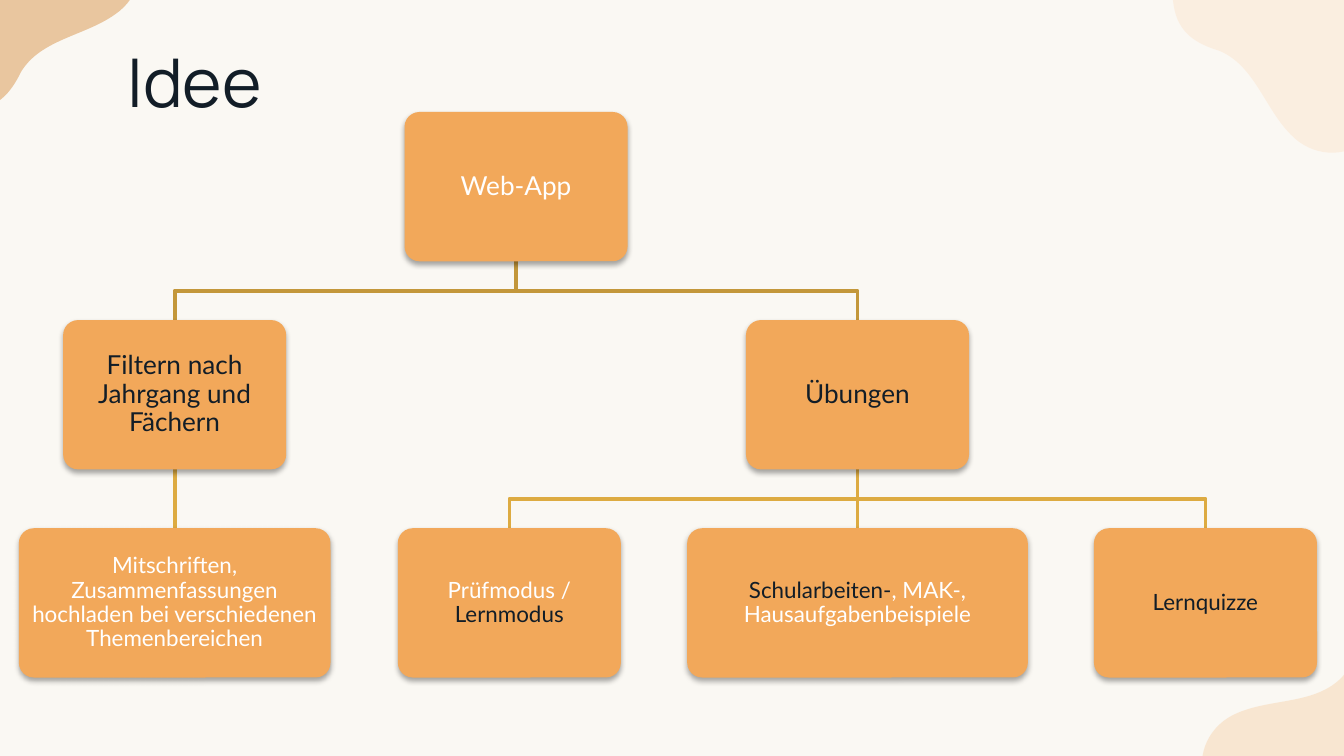
"""Build a slide with a three-level tree of ideas for a learning web app."""
import lxml.etree
import pptx
import pptx.dml.color
import pptx.enum.shapes
import pptx.enum.text
import pptx.oxml.ns
import pptx.util

Pt = pptx.util.Pt
qn = pptx.oxml.ns.qn

COLORS = {
    "background": "FAF8F3", "dark": "121D27", "light": "FFFFFF", "box": "F2A85A",
    "upper_line": "C3973A", "lower_line": "DDAB41", "shadow": "000000",
    "blob_brown": "CD7210", "blob_cream": "FADEC0", "blob_peach": "F7C997",
}
BOX_HEIGHT = 80
ROW_TOPS = [60 + 111.5 * row for row in range(3)]
ROW_FONT_SIZES = [14, 14, 12]
ROW_MARGINS = [4.4, 4.4, 3.8]

BOXES = {
    "app": (0, 276.5, 119.5, [("Web-App", "light")]),
    "filter": (1, 93.6, 119.5, [("Filtern nach Jahrgang und Fächern", "dark")]),
    "exercises": (1, 459.4, 119.5, [("Übungen", "dark")]),
    "notes": (2, 93.6, 167, [("Mitschriften, Zusammenfassungen hochladen bei "
                              "verschiedenen Themenbereichen", "light")]),
    "modes": (2, 272.9, 119.5, [("Prüfmodus / ", "light"), ("Lernmodus", "dark")]),
    "examples": (2, 459.4, 182.5, [("Schularbeiten-", "dark"),
                                   (", MAK-, Hausaufgabenbeispiele", "light")]),
    "quizzes": (2, 645.8, 119.5, [("Lernquizze", "dark")]),
}
LINKS = [
    ("app", "filter"), ("app", "exercises"), ("filter", "notes"),
    ("exercises", "modes"), ("exercises", "examples"), ("exercises", "quizzes"),
]
BLOB_UNIT = 0.72
BLOB_POINTS = [
    (-73, 9), (-65, 6), (-58, 4), (-49, 0), (-24, -10), (-27, -37), (-11, -55),
    (3, -70), (27, -71), (46, -64), (67, -56), (84, -40), (87, -20), (93, 0),
    (81, 22), (59, 29), (33, 38), (1, 31), (-20, 50), (-32, 63), (-45, 72),
    (-65, 66), (-84, 61), (-95, 41), (-87, 24), (-83, 17), (-79, 12), (-73, 9),
]
BLOBS = [
    (15.1, 0, 343.5, "blob_brown"),
    (691.9, 23.8, 64.4, "blob_cream"),
    (708.5, 398.9, 176, "blob_peach"),
]


def color(name):
    return pptx.dml.color.RGBColor.from_string(COLORS[name])


def fill_solid(shape, name):
    shape.fill.solid()
    shape.fill.fore_color.rgb = color(name)


def add_alpha(color_element, percent):
    alpha = lxml.etree.SubElement(color_element, qn("a:alpha"))
    alpha.set("val", str(percent * 1000))


def format_run(run, font_name, size, color_name):
    run.font.name = font_name
    run.font.size = Pt(size)
    run.font.color.rgb = color(color_name)


def set_margins(text_frame, margin):
    for side in ("left", "right", "top", "bottom"):
        setattr(text_frame, f"margin_{side}", Pt(margin))


def add_soft_shadow(shape):
    shape.shadow.inherit = False
    effects = shape.element.spPr.find(qn("a:effectLst"))
    shadow = lxml.etree.SubElement(effects, qn("a:outerShdw"))
    settings = {"blurRad": Pt(3.1), "dist": Pt(1.8), "dir": 90 * 60000, "rotWithShape": 0}
    for key, value in settings.items():
        shadow.set(key, str(int(value)))
    shadow_color = lxml.etree.SubElement(shadow, qn("a:srgbClr"))
    shadow_color.set("val", COLORS["shadow"])
    add_alpha(shadow_color, 35)


def add_title(slide, text):
    shape = slide.shapes.add_textbox(Pt(61.2), Pt(14.4), Pt(607.7), Pt(45.4))
    text_frame = shape.text_frame
    text_frame.word_wrap = True
    set_margins(text_frame, 7.2)
    text_frame.text = text
    format_run(text_frame.paragraphs[0].runs[0], "Manrope", 36, "dark")


def add_box(slide, row, center, width, runs):
    shape = slide.shapes.add_shape(
        pptx.enum.shapes.MSO_SHAPE.ROUNDED_RECTANGLE,
        Pt(center - width / 2), Pt(ROW_TOPS[row]), Pt(width), Pt(BOX_HEIGHT))
    shape.adjustments[0] = 0.1
    fill_solid(shape, "box")
    shape.line.fill.background()
    add_soft_shadow(shape)
    text_frame = shape.text_frame
    text_frame.word_wrap = True
    text_frame.vertical_anchor = pptx.enum.text.MSO_ANCHOR.MIDDLE
    set_margins(text_frame, ROW_MARGINS[row])
    paragraph = text_frame.paragraphs[0]
    paragraph.alignment = pptx.enum.text.PP_ALIGN.CENTER
    paragraph.line_spacing = 0.9
    for text, color_name in runs:
        run = paragraph.add_run()
        run.text = text
        format_run(run, "Lato", ROW_FONT_SIZES[row], color_name)


def add_link(slide, parent, child):
    row, start, *_ = BOXES[parent]
    end = BOXES[child][1]
    top, bottom = ROW_TOPS[row] + BOX_HEIGHT, ROW_TOPS[row + 1]
    if start == end:
        shape = slide.shapes.add_connector(
            pptx.enum.shapes.MSO_CONNECTOR.STRAIGHT, Pt(start), Pt(top), Pt(end), Pt(bottom))
        lxml.etree.SubElement(shape.element.spPr, qn("a:effectLst"))
    else:
        middle = (top + bottom) / 2
        builder = slide.shapes.build_freeform(Pt(start), Pt(top))
        corners = [(start, middle), (end, middle), (end, bottom)]
        builder.add_line_segments([(Pt(x), Pt(y)) for x, y in corners], close=False)
        shape = builder.convert_to_shape()
        shape.fill.background()
        shape.shadow.inherit = False
    shape.line.color.rgb = color("upper_line" if row == 0 else "lower_line")
    shape.line.width = Pt(2)


def add_blob(slide, center_x, center_y, rotation, color_name):
    builder = slide.shapes.build_freeform(*BLOB_POINTS[0], scale=Pt(BLOB_UNIT))
    builder.add_line_segments(BLOB_POINTS[1:], close=True)
    shape = builder.convert_to_shape(Pt(center_x), Pt(center_y))
    segments = list(shape.element.iter(qn("a:lnTo")))
    for index in range(0, len(BLOB_POINTS) - 1, 3):
        curve = lxml.etree.Element(qn("a:cubicBezTo"))
        segments[index].addprevious(curve)
        for segment in segments[index:index + 3]:
            curve.append(segment[0])
            segment.getparent().remove(segment)
    shape.rotation = rotation
    fill_solid(shape, color_name)
    add_alpha(shape.element.spPr.find(qn("a:solidFill"))[0], 37)
    shape.line.fill.background()
    shape.shadow.inherit = False


def main():
    presentation = pptx.Presentation()
    presentation.slide_width, presentation.slide_height = Pt(720), Pt(405)
    slide = presentation.slides.add_slide(presentation.slide_layouts[6])
    fill_solid(slide.background, "background")
    add_title(slide, "Idee")
    for link in LINKS:
        add_link(slide, *link)
    for box in BOXES.values():
        add_box(slide, *box)
    for blob in BLOBS:
        add_blob(slide, *blob)
    presentation.save("out.pptx")


if __name__ == "__main__":
    main()
